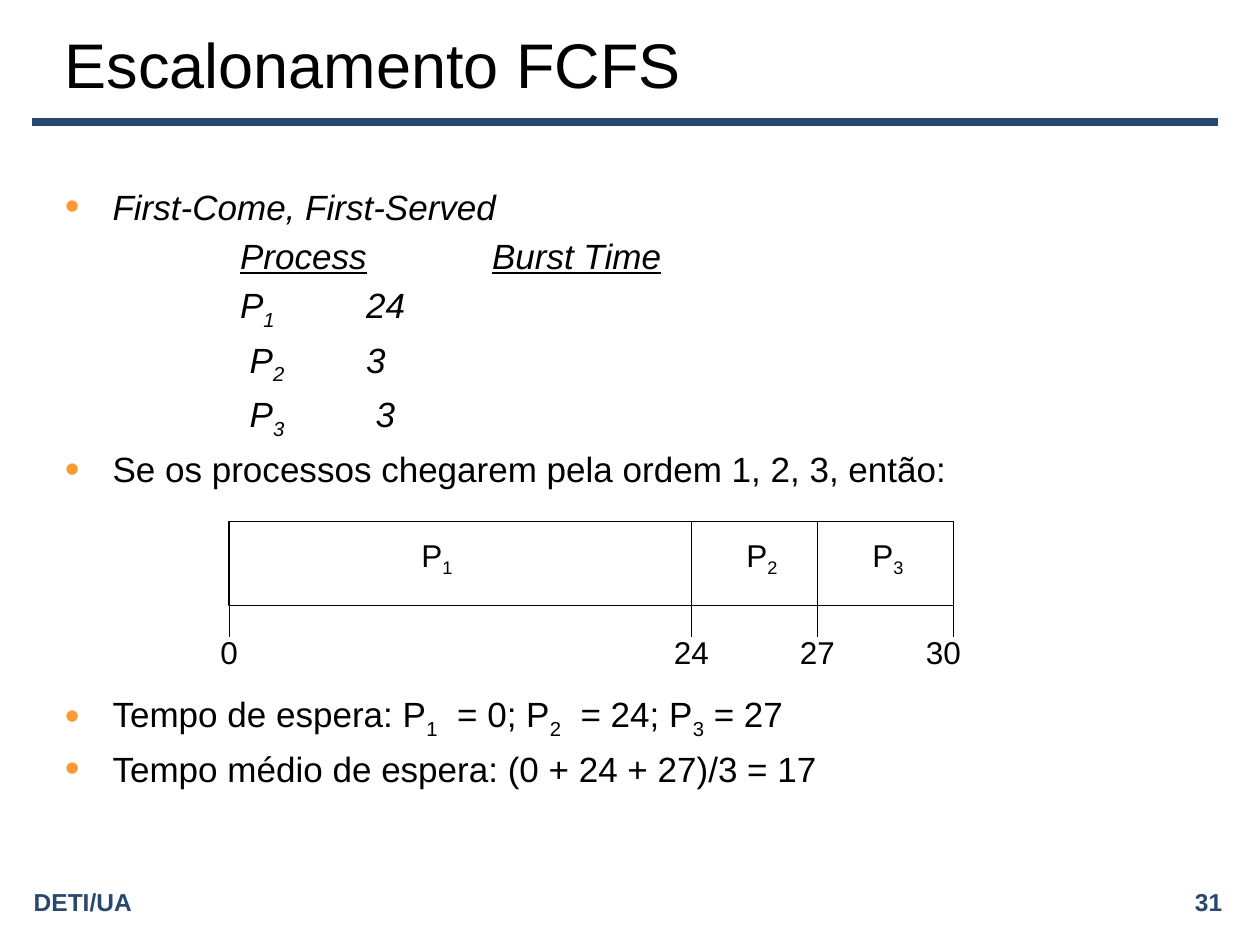
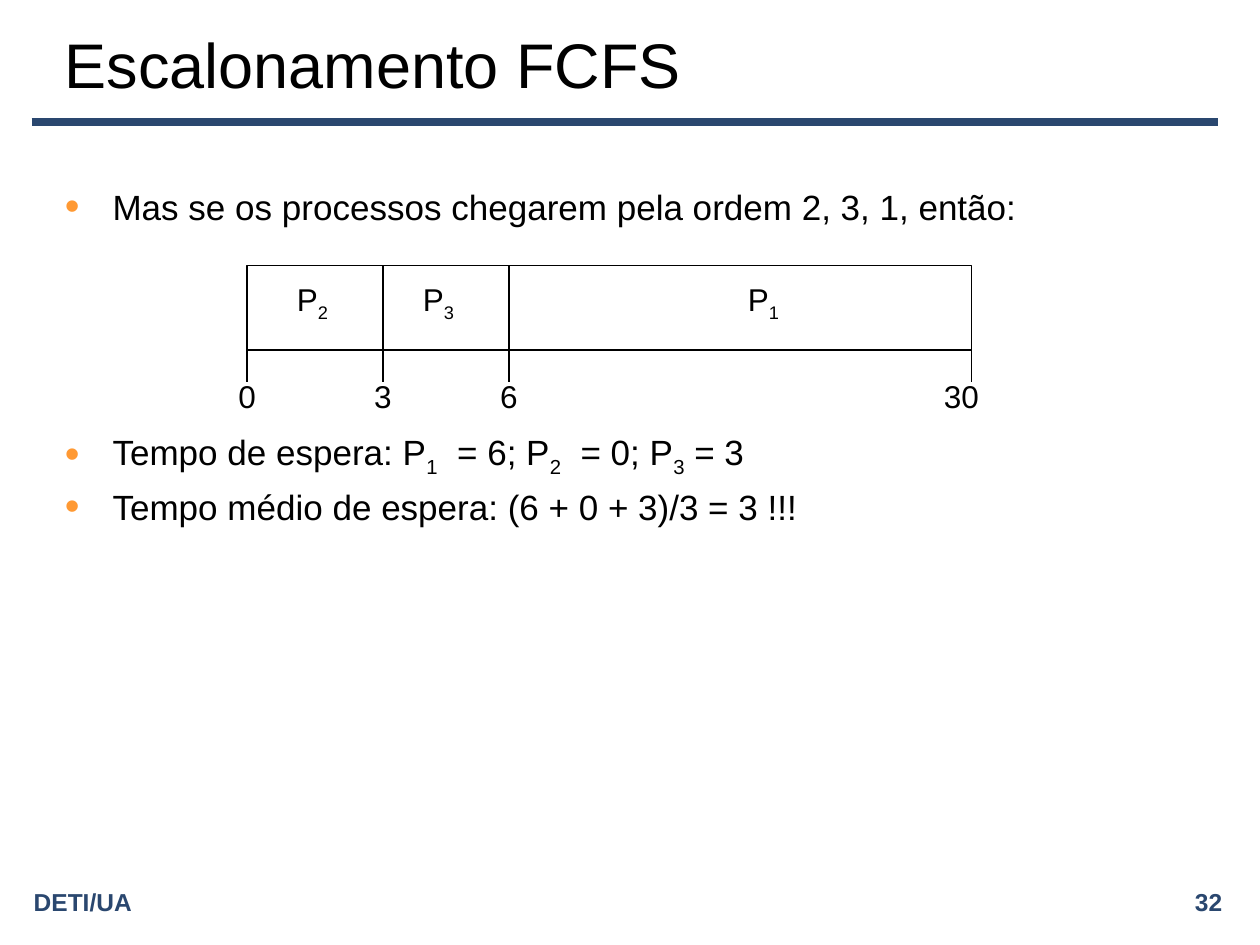
from collections import namedtuple
from dataclasses import dataclass

from lxml.etree import SubElement
from pptx import Presentation
from pptx.dml.color import RGBColor as Rgb
from pptx.enum.shapes import MSO_CONNECTOR as Connector, MSO_SHAPE as Preset
from pptx.enum.text import MSO_ANCHOR as Anchor, PP_ALIGN as Align
from pptx.oxml.ns import qn
from pptx.util import Cm, Pt


@dataclass(frozen=True)
class Theme:
    font: str = "Arial"
    ink: Rgb = Rgb(0, 0, 0)
    paper: Rgb = Rgb(255, 255, 255)
    navy: Rgb = Rgb(0x2A, 0x47, 0x6F)
    bullet: str = "FF9933"
    title_size: int = 36
    body_size: int = 20
    chart_size: int = 18
    footer_size: int = 14
    thin: float = 0.75
    thick: float = 4.5


THEME = Theme()
LINE_GAP = 4      # points between body lines
CHART_GAP = 116   # points left free for the timeline: about four lines more
HANG = 0.96       # bullet indent in cm
TABLE_INDENT = 3.53

Box = namedtuple("Box", "left top width height")
TITLE_BOX = Box(1.06, 0.43, 22.23, 1.7)
BODY_BOX = Box(1.06, 3.61, 22.86, 12.57)
FOOTER_BOX = Box(0.43, 17.78, 24.46, 0.79)

# burst in time units; width and label_at (label centre) in cm
Burst = namedtuple("Burst", "process burst width label_at")
BURSTS = [
    Burst("P_1", 24, 9.32, 4.19),
    Burst("P_2", 3, 2.54, 1.42),
    Burst("P_3", 3, 2.74, 1.42),
]
BAR_HEIGHT = 1.7
TICK_LENGTH = 0.64
LABEL_WIDTH, LABEL_HEIGHT = 2, 1
PROCESS_Y = 0.72
TIME_Y = 2.63
LAST_TIME_SHIFT = -0.2


# Text helpers
def add_run(paragraph, text, size, color=THEME.ink, bold=False,
            italic=False, underline=False):
    run = paragraph.add_run()
    run.text = text
    font = run.font
    font.name, font.size, font.color.rgb = THEME.font, Pt(size), color
    font.bold, font.italic, font.underline = bold, italic, underline
    return run


def add_marked(paragraph, text, size, **style):
    """Add runs; the character after each underscore is a subscript."""
    first, *rest = text.split("_")
    add_run(paragraph, first, size, **style)
    for piece in rest:
        index = add_run(paragraph, piece[0], size, **style)
        index.font._element.set("baseline", "-25000")
        if piece[1:]:
            add_run(paragraph, piece[1:], size, **style)


def add_frame(shapes, box, anchor=Anchor.MIDDLE, wrap=True):
    frame = shapes.add_textbox(*map(Cm, box)).text_frame
    frame.word_wrap, frame.vertical_anchor = wrap, anchor
    return frame


def add_line(shapes, x1, y1, x2, y2, color=THEME.ink, width=THEME.thin):
    line = shapes.add_connector(Connector.STRAIGHT, Cm(x1), Cm(y1), Cm(x2), Cm(y2))
    line.line.color.rgb, line.line.width = color, Pt(width)
    SubElement(line._element.spPr, qn("a:effectLst"))


# Shared title, rule and footer
def add_page(deck, title, number):
    slide = deck.slides.add_slide(deck.slide_layouts[6])
    add_line(slide.shapes, 0.64, 2.46, 24.56, 2.46, THEME.navy, THEME.thick)
    heading = add_frame(slide.shapes, TITLE_BOX).paragraphs[0]
    add_run(heading, title, THEME.title_size)

    half = FOOTER_BOX.width / 2
    for side, (text, align) in enumerate(
            [("DETI/UA", Align.LEFT), (str(number), Align.RIGHT)]):
        box = FOOTER_BOX._replace(left=FOOTER_BOX.left + side * half, width=half)
        footer = add_frame(slide.shapes, box).paragraphs[0]
        footer.alignment = align
        add_run(footer, text, THEME.footer_size, THEME.navy, bold=True)
    return slide


# Body paragraphs
def next_paragraph(frame, gap=LINE_GAP):
    paragraph = frame.paragraphs[0]
    if paragraph.runs:
        paragraph = frame.add_paragraph()
        paragraph.space_before = Pt(gap)
    return paragraph


def add_bullet(frame, text, gap=LINE_GAP, italic=False):
    paragraph = next_paragraph(frame, gap)
    props = paragraph._p.get_or_add_pPr()
    props.set("marL", str(Cm(HANG)))
    props.set("indent", str(-Cm(HANG)))
    color = SubElement(props, qn("a:buClr"))
    SubElement(color, qn("a:srgbClr"), val=THEME.bullet)
    SubElement(props, qn("a:buSzPct"), val="120000")
    SubElement(props, qn("a:buFont"), typeface=THEME.font)
    SubElement(props, qn("a:buChar"), char="•")
    add_marked(paragraph, text, THEME.body_size, italic=italic)


def add_process_rows(frame, headings, rows):
    def tabbed_row():
        paragraph = next_paragraph(frame)
        props = paragraph._p.get_or_add_pPr()
        props.set("marL", str(Cm(TABLE_INDENT)))
        props.set("indent", "0")
        props.set("defTabSz", str(Cm(2.54)))
        return paragraph

    header = tabbed_row()
    process, burst_time = headings
    add_run(header, process, THEME.body_size, italic=True, underline=True)
    add_run(header, "\t", THEME.body_size, italic=True)
    add_run(header, burst_time, THEME.body_size, italic=True, underline=True)
    for row in rows:
        add_marked(tabbed_row(), row, THEME.body_size, italic=True)


def add_results(frame, waiting, average):
    add_bullet(frame, waiting, CHART_GAP)
    add_bullet(frame, average)


# Timeline of bursts
def add_timeline(slide, left, top, bursts, mirrored=False):
    shapes = slide.shapes.add_group_shape().shapes
    bottom = top + BAR_HEIGHT
    total = sum(burst.width for burst in bursts)

    bar = shapes.add_shape(Preset.RECTANGLE, Cm(left), Cm(top), Cm(total), Cm(BAR_HEIGHT))
    bar.shadow.inherit = False
    bar.fill.solid()
    bar.fill.fore_color.rgb = THEME.paper
    bar.line.color.rgb, bar.line.width = THEME.ink, Pt(THEME.thin)

    def add_label(text, x, y):
        box = Box(x - LABEL_WIDTH / 2, y - LABEL_HEIGHT / 2, LABEL_WIDTH, LABEL_HEIGHT)
        label = add_frame(shapes, box, wrap=False).paragraphs[0]
        label.alignment = Align.CENTER
        add_marked(label, text, THEME.chart_size)

    def add_time(time, x, shift=0):
        add_line(shapes, x, bottom, x, bottom + TICK_LENGTH)
        add_label(str(time), x + shift, top + TIME_Y)

    x, time = left, 0
    add_time(time, x)
    for burst in bursts:
        offset = burst.width - burst.label_at if mirrored else burst.label_at
        add_label(burst.process, x + offset, top + PROCESS_Y)
        x, time = x + burst.width, time + burst.burst
        is_last = burst is bursts[-1]
        if not is_last:
            add_line(shapes, x, top, x, bottom)
        add_time(time, x, LAST_TIME_SHIFT if is_last else 0)


# Slides
def add_arrival_order_slide(deck):
    slide = add_page(deck, "Escalonamento FCFS", 31)
    body = add_frame(slide.shapes, BODY_BOX, Anchor.TOP)
    add_bullet(body, "First-Come, First-Served", italic=True)
    add_process_rows(body, ("Process", "Burst Time"),
                     ["P_1\t24", " P_2 \t3", " P_3\t 3"])
    add_bullet(body, "Se os processos chegarem pela ordem 1, 2, 3, então:")
    add_results(body, "Tempo de espera: P_1  = 0; P_2  = 24; P_3 = 27",
                "Tempo médio de espera: (0 + 24 + 27)/3 = 17")
    add_timeline(slide, 4.62, 10.51, BURSTS)


def add_short_first_slide(deck):
    slide = add_page(deck, "Escalonamento FCFS", 32)
    body = add_frame(slide.shapes, BODY_BOX, Anchor.TOP)
    add_bullet(body, "Mas se os processos chegarem pela ordem 2, 3, 1, então:")
    add_results(body, "Tempo de espera: P_1  = 6; P_2  = 0; P_3 = 3",
                "Tempo médio de espera: (6 + 0 + 3)/3 = 3 !!!")
    long_job, second, third = BURSTS
    # Mirrored bar: the two short bursts swap widths
    short_first = [third._replace(process=second.process),
                   second._replace(process=third.process), long_job]
    add_timeline(slide, 4.98, 5.36, short_first, mirrored=True)


def main():
    deck = Presentation()
    deck.slide_width, deck.slide_height = Cm(25.4), Cm(19.05)
    add_arrival_order_slide(deck)
    add_short_first_slide(deck)
    deck.save("out.pptx")


if __name__ == "__main__":
    main()
